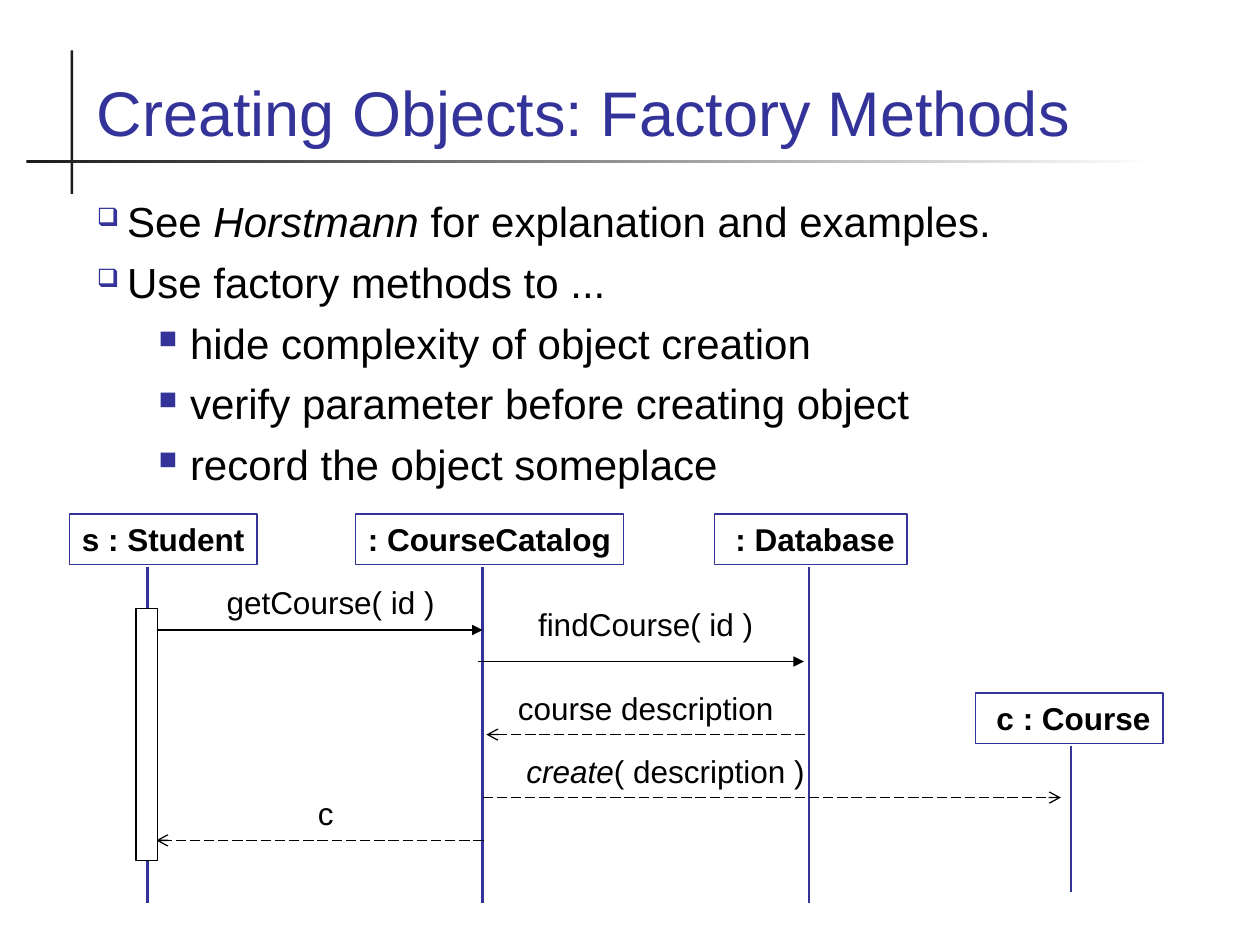
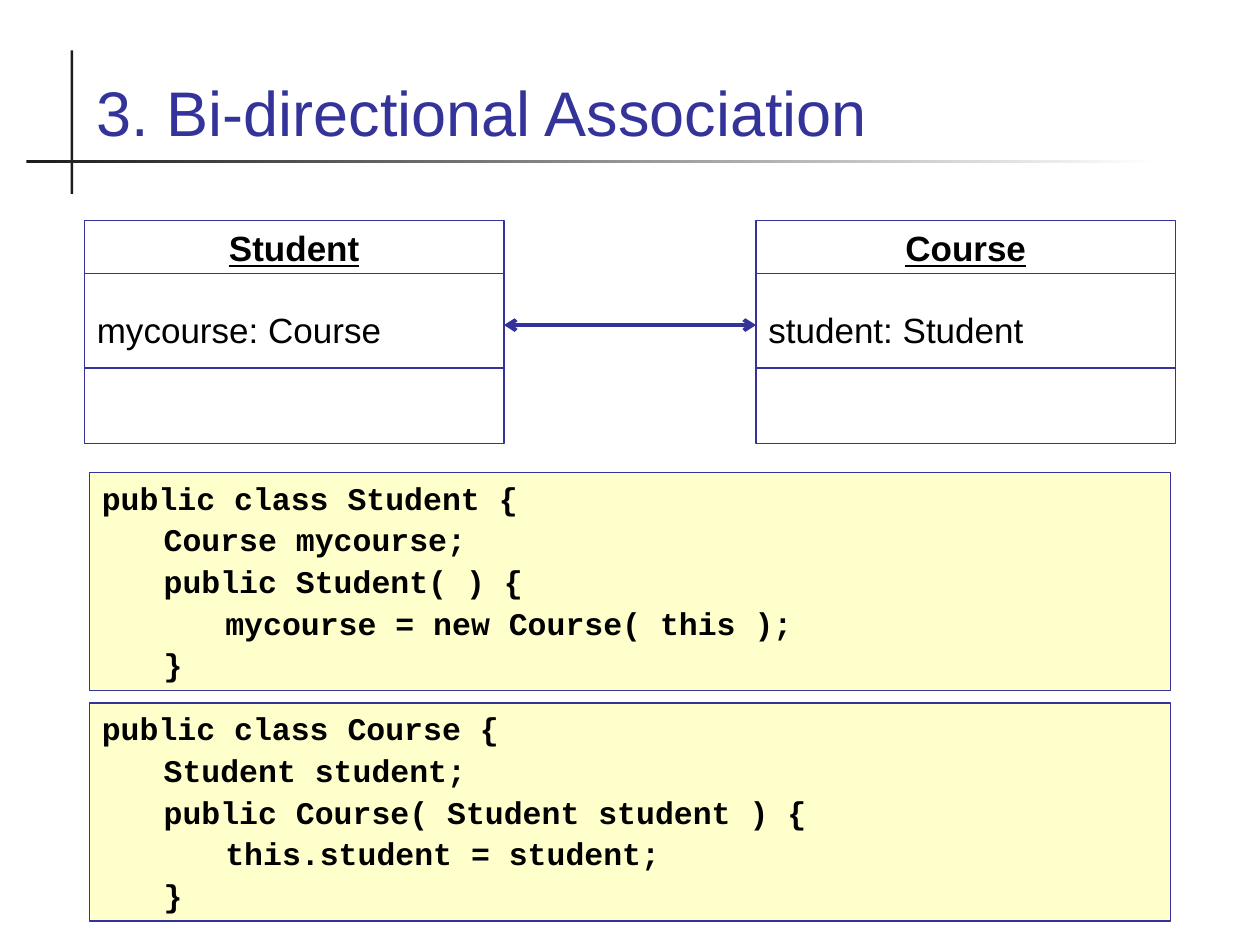
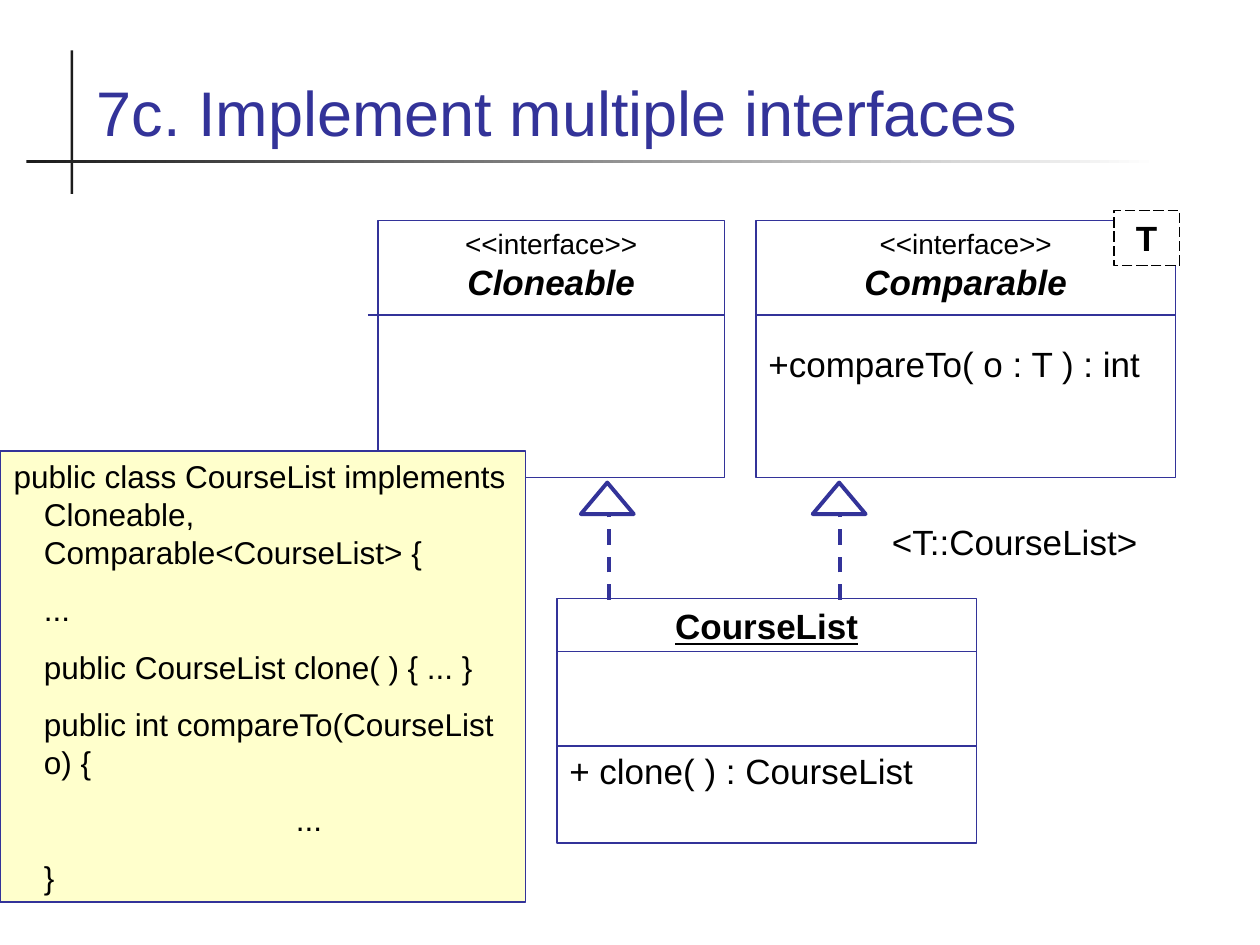
from lxml import etree
from pptx import Presentation
from pptx.dml.color import RGBColor
from pptx.enum.dml import MSO_LINE as Dash
from pptx.enum.shapes import MSO_CONNECTOR as Connector, MSO_SHAPE as Shape
from pptx.enum.text import MSO_ANCHOR as Anchor, PP_ALIGN as Align
from pptx.oxml.ns import qn
from pptx.util import Inches, Pt

COLORS = {
    "accent": "333399",
    "text": "000000",
    "rule": "1C1C1C",
    "paper": "FFFFFF",
    "code": "FFFFCC",
}
RGB = {name: RGBColor.from_string(value) for name, value in COLORS.items()}


def add_box(slide, at, lines=(), fill=None, line=None, width=0.75, dash=None,
            wrap=True, anchor=Anchor.TOP, preset=Shape.RECTANGLE, **defaults):
    place = [Inches(value) for value in at]
    if fill or line:
        shape = slide.shapes.add_shape(preset, *place)
        shape.shadow.inherit = False
        if fill:
            shape.fill.solid()
            shape.fill.fore_color.rgb = RGB[fill]
        else:
            shape.fill.background()
        if line:
            shape.line.color.rgb = RGB[line]
            shape.line.width = Pt(width)
            shape.line.dash_style = dash
        else:
            shape.line.fill.background()
    else:
        shape = slide.shapes.add_textbox(*place)
    frame = shape.text_frame
    frame.word_wrap = wrap
    frame.vertical_anchor = anchor
    for number, (text, options) in enumerate(lines):
        style = {**defaults, **options}
        paragraph = frame.paragraphs[0] if number == 0 else frame.add_paragraph()
        paragraph.alignment = style.get("align", Align.LEFT)
        paragraph.space_before = Pt(style.get("before", 0) if number else 0)
        properties = paragraph._p.get_or_add_pPr()
        properties.set("marL", str(Inches(style.get("margin", 0))))
        properties.set("indent", str(Inches(style.get("indent", 0))))
        if "bullet" in style:
            color = etree.SubElement(properties, qn("a:buClr"))
            etree.SubElement(color, qn("a:srgbClr"), val=COLORS["accent"])
            etree.SubElement(properties, qn("a:buSzPct"), val="60000")
            etree.SubElement(properties, qn("a:buChar"), char=style["bullet"])
        font = paragraph.font
        font.name = style.get("font", "Arial")
        font.size = Pt(style.get("size", 18))
        font.bold = style.get("bold", False)
        font.italic = style.get("italic", False)
        font.underline = style.get("underline", False)
        font.color.rgb = RGB[style.get("color", "text")]
        for part, words in enumerate(text.split("*")):
            if words:
                run = paragraph.add_run()
                run.text = words
                if part % 2:
                    run.font.italic = True
    return shape


def add_line(slide, start, end, color="accent", width=0.75, dash=None, head=None, tail=None):
    connector = slide.shapes.add_connector(
        Connector.STRAIGHT, *[Inches(value) for value in (*start, *end)])
    connector.line.color.rgb = RGB[color]
    connector.line.width = Pt(width)
    connector.line.dash_style = dash
    outline = connector.line._get_or_add_ln()
    for tag, kind in (("a:headEnd", head), ("a:tailEnd", tail)):
        if kind:
            etree.SubElement(outline, qn(tag), type=kind)
    etree.SubElement(connector._element.spPr, qn("a:effectLst"))


presentation = Presentation()
presentation.slide_width = Inches(10)
presentation.slide_height = Inches(7.5)

slides = []
for title in ("Creating Objects: Factory Methods",
              "3. Bi-directional Association",
              "7c. Implement multiple interfaces"):
    slide = presentation.slides.add_slide(presentation.slide_layouts[6])
    add_box(slide, (0.56, 0.4, 0.02, 1.14), fill="rule")
    rule = add_box(slide, (0.21, 1.27, 8.99, 0.02), fill="rule")
    rule.fill.gradient()
    rule.fill.gradient_angle = 0
    for stop, color in zip(rule.fill.gradient_stops, ("rule", "paper")):
        stop.color.rgb = RGB[color]
    add_box(slide, (0.67, 0.28, 8.66, 0.95), [(title, {})],
            anchor=Anchor.BOTTOM, size=36, color="accent")
    slides.append(slide)
factory_slide, association_slide, interfaces_slide = slides

point = {"bullet": "❑", "margin": 0.24, "indent": -0.24}
detail = {"bullet": "■", "margin": 0.74, "indent": -0.25}
add_box(factory_slide, (0.67, 1.5, 8.66, 2.5), [
    ("See *Horstmann* for explanation and examples.", point),
    ("Use factory methods to ...", point),
    ("hide complexity of object creation", detail),
    ("verify parameter before creating object", detail),
    ("record the object someplace", detail),
], size=24, before=6)

for name, left, top, width, lifeline, bottom in (
        ("s : Student", 0.55, 4.08, 1.49, 1.17, 7.17),
        (": CourseCatalog", 2.82, 4.08, 2.13, 3.83, 7.17),
        (" : Database", 5.67, 4.08, 1.53, 6.42, 7.17),
        (" c : Course", 7.74, 5.5, 1.49, 8.5, 7.08)):
    add_box(factory_slide, (left, top, width, 0.4), [(name, {})],
            line="accent", wrap=False, bold=True, align=Align.CENTER)
    add_line(factory_slide, (lifeline, top + 0.42), (lifeline, bottom), width=1.5)

for message, left, top, width, start, end, y, is_call in (
        ("getCourse( id )", 1.46, 4.58, 2.33, 1.25, 3.83, 5, True),
        ("findCourse( id )", 3.96, 4.75, 2.33, 3.79, 6.38, 5.25, True),
        ("course description", 3.96, 5.42, 2.33, 6.39, 3.86, 5.83, False),
        ("*create*( description )", 4.08, 5.92, 2.67, 3.83, 8.42, 6.33, False),
        ("c", 1.42, 6.25, 2.33, 3.84, 1.24, 6.67, False)):
    add_line(factory_slide, (start, y), (end, y), color="text",
             dash=None if is_call else Dash.LONG_DASH,
             tail="triangle" if is_call else "arrow")
    add_box(factory_slide, (left, top, width, 0.4), [(message, {})],
            align=Align.LEFT if "create" in message else Align.CENTER)
add_box(factory_slide, (1.08, 4.83, 0.17, 2), fill="paper", line="text")

class_name = {"align": Align.CENTER, "bold": True, "underline": True}
stereotype = {"align": Align.CENTER, "size": 16}
interface_name = {"align": Align.CENTER, "bold": True, "italic": True}

class_boxes = (
    (association_slide, (0.67, 1.75, 3.33, 1.77), (2.17, 2.92),
     [("Student", class_name), ("mycourse: Course", {"before": 23})]),
    (association_slide, (6, 1.75, 3.33, 1.77), (2.17, 2.92),
     [("Course", class_name), ("student: Student", {"before": 23})]),
    (interfaces_slide, (6, 1.75, 3.33, 2.04), (2.5,),
     [("<<interface>>", stereotype), ("Comparable", interface_name),
      ("+compareTo( o : T ) : int", {"before": 23})]),
    (interfaces_slide, (4.42, 4.75, 3.33, 1.94), (5.17, 5.92),
     [("CourseList", class_name), ("+ clone( ) : CourseList", {"before": 58.5})]),
    (interfaces_slide, (3, 1.75, 2.75, 2.04), (2.5,),
     [("<<interface>>", stereotype), ("Cloneable", interface_name)]),
)
for slide, at, dividers, lines in class_boxes:
    add_box(slide, at, lines, line="accent", size=20)
    left, right = at[0], at[0] + at[2]
    divider_left = 2.92 if left == 3 else left
    for y in dividers:
        add_line(slide, (divider_left, y), (right, y))

add_line(association_slide, (4, 2.58), (6, 2.58), width=2.25, head="arrow", tail="arrow")

for top, code in (
        (3.75, ((0, "public class Student {"),
                (1, "Course mycourse;"),
                (1, "public Student( ) {"),
                (2, "mycourse = new Course( this );"),
                (1, "}"))),
        (5.58, ((0, "public class Course {"),
                (1, "Student student;"),
                (1, "public Course( Student student ) {"),
                (2, "this.student = student;"),
                (1, "}")))):
    add_box(association_slide, (0.71, top, 8.58, 1.73),
            [(text, {"margin": 0.49 * level}) for level, text in code],
            fill="code", line="accent", font="Courier New", bold=True, before=2.2)

for x in (4.83, 6.67):
    add_line(interfaces_slide, (x, 4.76), (x, 4.07), width=2.25, dash=Dash.DASH)
    add_box(interfaces_slide, (x - 0.22, 3.83, 0.42, 0.25), line="accent", width=2.25,
            preset=Shape.ISOSCELES_TRIANGLE)
add_box(interfaces_slide, (8.84, 1.67, 0.52, 0.44), [("T", {})], fill="paper", line="text",
        dash=Dash.LONG_DASH, wrap=False, size=20, bold=True, align=Align.CENTER)
add_box(interfaces_slide, (6.98, 4.08, 2.18, 0.44), [("<T::CourseList>", {})], size=20)

add_box(interfaces_slide, (0, 3.58, 4.17, 3.58), [
    ("public class CourseList implements Cloneable, Comparable<CourseList> {",
     {"indent": -0.24}),
    ("...", {}),
    ("public CourseList clone( ) { ... }", {}),
    ("public int compareTo(CourseList o) {", {}),
    ("...", {"margin": 2.25}),
    ("}", {}),
], fill="code", line="accent", margin=0.25, before=11.2)

presentation.save("out.pptx")
